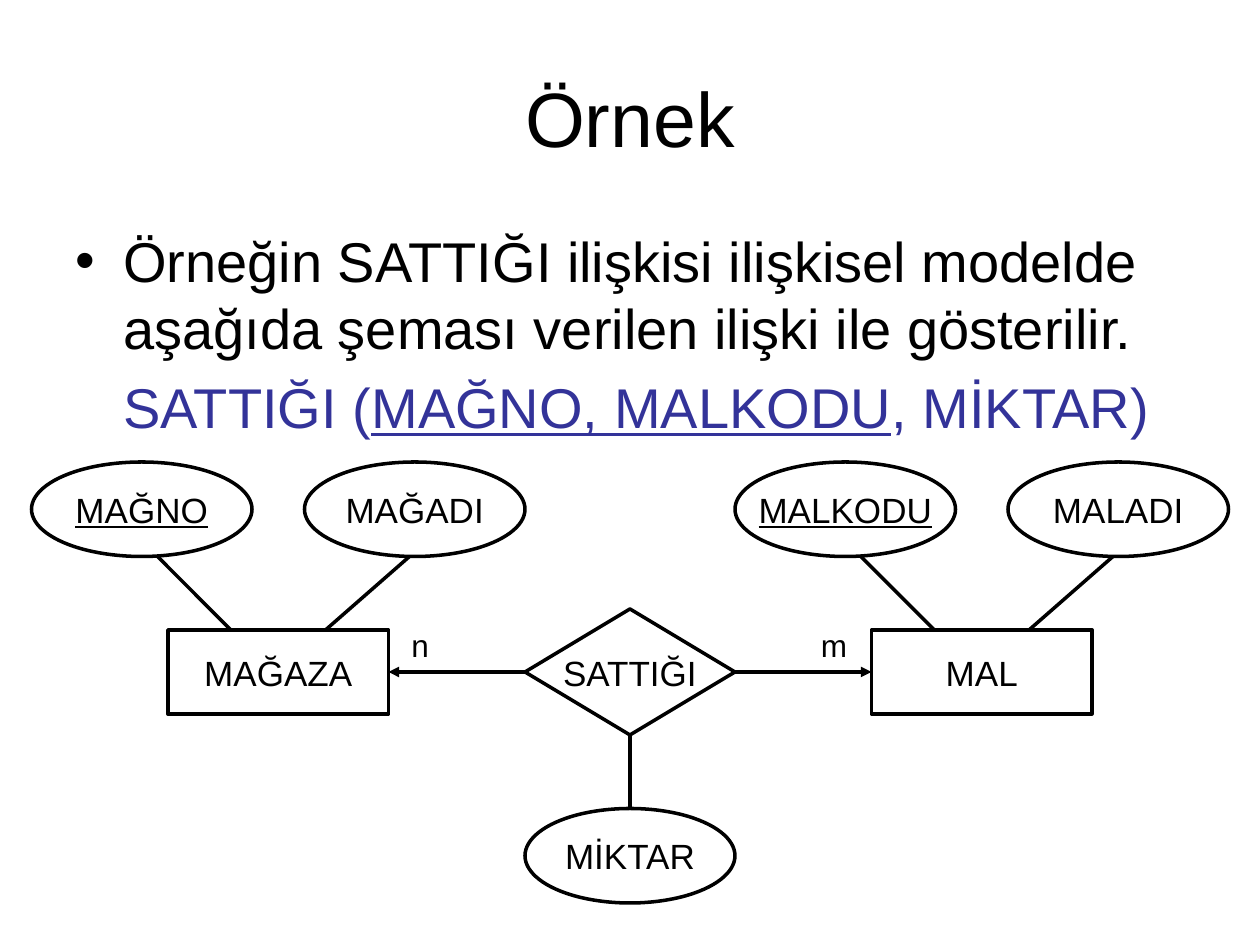
from dataclasses import dataclass

from lxml import etree
from pptx import Presentation
from pptx import util as u
from pptx.dml.color import RGBColor
from pptx.enum import shapes, text
from pptx.oxml.ns import qn

BLACK = RGBColor(0x00, 0x00, 0x00)
INDIGO = RGBColor(0x33, 0x33, 0x99)
WIDTH, HEIGHT = u.Inches(10), u.Inches(7.5)
COLUMNS, ROWS = 120, 90
FONT = "Arial"
LINE_WIDTH = u.Pt(2)
INDENT = u.Inches(0.38)

ELLIPSE = shapes.MSO_SHAPE.OVAL
RECTANGLE = shapes.MSO_SHAPE.RECTANGLE
DIAMOND = shapes.MSO_SHAPE.DIAMOND


@dataclass(frozen=True)
class Node:
    label: str
    kind: shapes.MSO_SHAPE
    column: float
    row: float
    columns: float = 21
    rows: float = 9
    key: bool = False


@dataclass(frozen=True)
class Link:
    start: tuple[float, float]
    end: tuple[float, float]
    arrow: bool = False


@dataclass(frozen=True)
class Label:
    words: str
    column: float
    row: float
    columns: float
    rows: float
    size: float
    align: text.PP_ALIGN = text.PP_ALIGN.LEFT
    anchor: text.MSO_ANCHOR = text.MSO_ANCHOR.TOP


NODES = [
    Node("MAĞAZA", RECTANGLE, 16, 60, rows=8),
    Node("MAL", RECTANGLE, 83, 60, rows=8),
    Node("SATTIĞI", DIAMOND, 50, 58, columns=20, rows=12),
    Node("MAĞNO", ELLIPSE, 3, 44, key=True),
    Node("MAĞADI", ELLIPSE, 29, 44),
    Node("MALKODU", ELLIPSE, 70, 44, key=True),
    Node("MALADI", ELLIPSE, 96, 44),
    Node("MİKTAR", ELLIPSE, 50, 77, columns=20),
]
LINKS = [
    Link((50, 64), (37, 64), arrow=True),
    Link((70, 64), (83, 64), arrow=True),
    Link((15, 53), (22, 60)),
    Link((39, 53), (31, 60)),
    Link((82, 53), (89, 60)),
    Link((106, 53), (98, 60)),
    Link((60, 70), (60, 77)),
]
TITLE = Label("Örnek", 6, 3.6, 108, 15, 44, text.PP_ALIGN.CENTER, text.MSO_ANCHOR.MIDDLE)
CARDINALITIES = [Label("n", 38, 59, 5, 4.8, 18), Label("m", 77, 59, 5, 4.8, 18)]


def across(columns: float) -> int:
    return round(WIDTH * columns / COLUMNS)


def down(rows: float) -> int:
    return round(HEIGHT * rows / ROWS)


def write(paragraph, words: str, *, size: float, color=BLACK, underline=False) -> None:
    run = paragraph.add_run()
    run.text = words
    run.font.name = FONT
    run.font.size = u.Pt(size)
    run.font.color.rgb = color
    run.font.underline = underline


def add_box(slide, column: float, row: float, columns: float, rows: float):
    box = slide.shapes.add_textbox(across(column), down(row), across(columns), down(rows))
    box.text_frame.word_wrap = True
    return box.text_frame


def draw_label(slide, label: Label) -> None:
    frame = add_box(slide, label.column, label.row, label.columns, label.rows)
    frame.vertical_anchor = label.anchor
    paragraph = frame.paragraphs[0]
    paragraph.alignment = label.align
    write(paragraph, label.words, size=label.size)


def draw_body(slide) -> None:
    frame = add_box(slide, 6, 21, 108, 22)
    sentence = frame.paragraphs[0]
    properties = sentence._p.get_or_add_pPr()
    properties.set("marL", str(INDENT))
    properties.set("indent", str(-INDENT))
    etree.SubElement(properties, qn("a:buFont"), typeface=FONT)
    etree.SubElement(properties, qn("a:buChar"), char="•")
    write(
        sentence,
        "Örneğin SATTIĞI ilişkisi ilişkisel modelde aşağıda şeması verilen ilişki ile gösterilir.",
        size=32,
    )
    schema = frame.add_paragraph()
    schema._p.get_or_add_pPr().set("marL", str(INDENT))
    schema.space_before = u.Pt(6.4)
    write(schema, "SATTIĞI (", size=32, color=INDIGO)
    write(schema, "MAĞNO, MALKODU", size=32, color=INDIGO, underline=True)
    write(schema, ", MİKTAR)", size=32, color=INDIGO)


def draw_node(slide, node: Node) -> None:
    shape = slide.shapes.add_shape(
        node.kind, across(node.column), down(node.row), across(node.columns), down(node.rows)
    )
    shape.shadow.inherit = False
    shape.fill.background()
    shape.line.color.rgb = BLACK
    shape.line.width = LINE_WIDTH
    frame = shape.text_frame
    frame.word_wrap = False
    frame.vertical_anchor = text.MSO_ANCHOR.MIDDLE
    paragraph = frame.paragraphs[0]
    paragraph.alignment = text.PP_ALIGN.CENTER
    write(paragraph, node.label, size=20, underline=node.key)


def draw_link(slide, link: Link) -> None:
    connector = slide.shapes.add_connector(
        shapes.MSO_CONNECTOR.STRAIGHT,
        across(link.start[0]), down(link.start[1]), across(link.end[0]), down(link.end[1]),
    )
    connector.line.color.rgb = BLACK
    connector.line.width = LINE_WIDTH
    if link.arrow:
        etree.SubElement(connector.line._get_or_add_ln(), qn("a:tailEnd"), type="triangle")
    etree.SubElement(connector._element.spPr, qn("a:effectLst"))


def main() -> None:
    presentation = Presentation()
    presentation.slide_width, presentation.slide_height = WIDTH, HEIGHT
    slide = presentation.slides.add_slide(presentation.slide_layouts[6])
    draw_label(slide, TITLE)
    draw_body(slide)
    for link in LINKS:
        draw_link(slide, link)
    for node in NODES:
        draw_node(slide, node)
    for label in CARDINALITIES:
        draw_label(slide, label)
    presentation.save("out.pptx")


if __name__ == "__main__":
    main()
